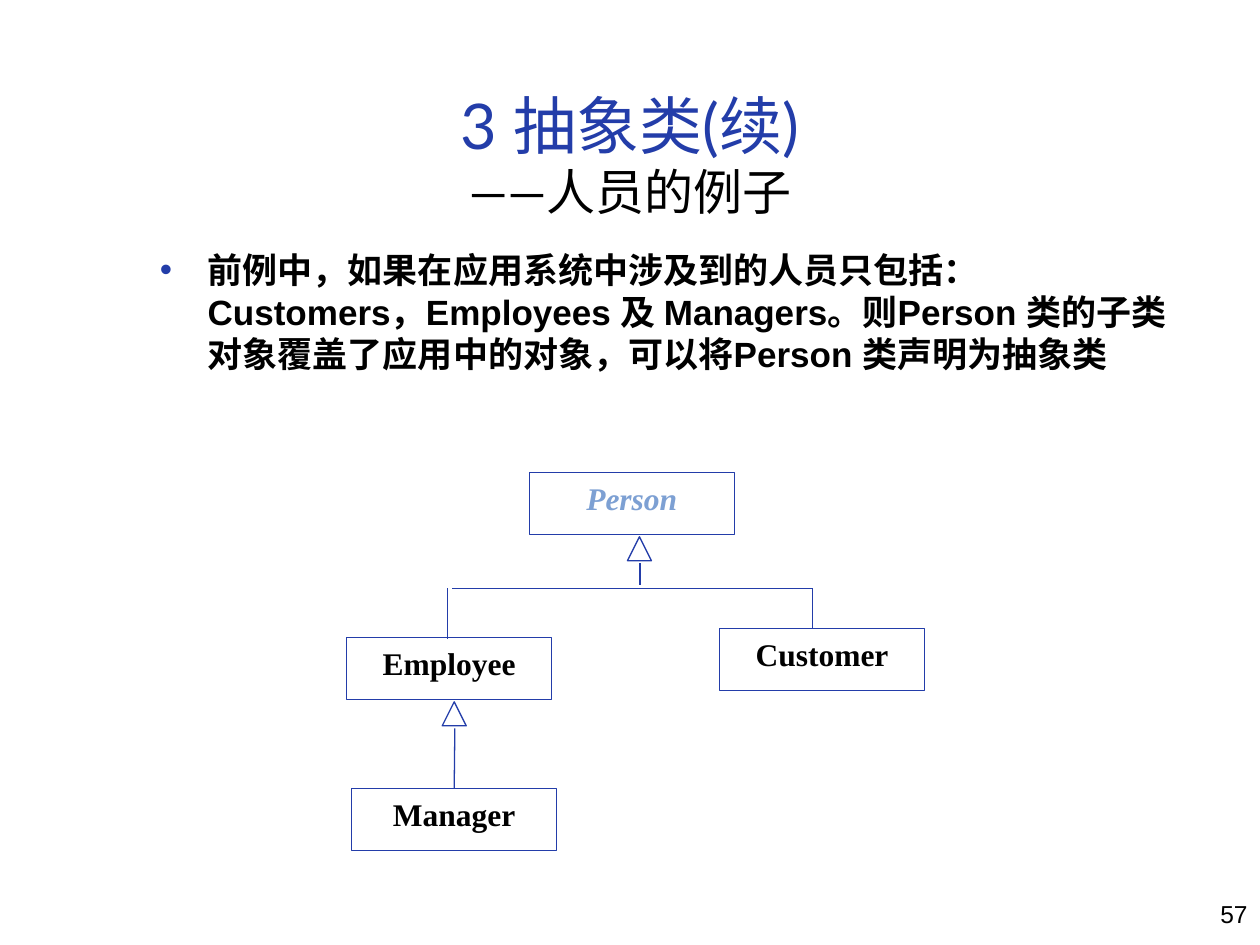
from lxml import etree
from pptx import Presentation
from pptx.dml.color import RGBColor
from pptx.enum.shapes import MSO_CONNECTOR, MSO_SHAPE
from pptx.enum.text import MSO_ANCHOR, PP_ALIGN
from pptx.oxml.ns import qn
from pptx.util import Inches, Pt

LINE = MSO_CONNECTOR.STRAIGHT
RECT = MSO_SHAPE.RECTANGLE
TRI = MSO_SHAPE.ISOSCELES_TRIANGLE
TOP, MID, BASE = MSO_ANCHOR.TOP, MSO_ANCHOR.MIDDLE, MSO_ANCHOR.BOTTOM
LEFT, MIDDLE, RIGHT = PP_ALIGN.LEFT, PP_ALIGN.CENTER, PP_ALIGN.RIGHT
BLUE = RGBColor(0x23, 0x3D, 0xA9)
PALE = RGBColor(0x7D, 0xA0, 0xD3)
BLACK = RGBColor(0, 0, 0)

deck = Presentation()
deck.slide_width, deck.slide_height = Inches(10), Inches(7.5)
slide = deck.slides.add_slide(deck.slide_layouts[6])
shapes = slide.shapes


def add_run(para, text, face, size, color, bold=False, slant=False):
    run = para.add_run()
    run.text = text
    font = run.font
    font.name, font.size = face, Pt(size)
    font.bold, font.italic = bold, slant
    font.color.rgb = color


def add_text(left, top, width, height, anchor, align, wrap=True):
    box = shapes.add_textbox(Inches(left), Inches(top), Inches(width), Inches(height))
    frame = box.text_frame
    frame.word_wrap = wrap
    frame.vertical_anchor = anchor
    para = frame.paragraphs[0]
    para.alignment = align
    return para


page = add_text(7.92, 7, 2.08, 0.5, MID, RIGHT, False)
add_run(page, "57", "Arial", 14, BLACK)

body = add_text(1.17, 1.92, 8.33, 4.5, TOP, LEFT)
props = body._p.get_or_add_pPr()
props.set("marL", str(Inches(0.38)))
props.set("indent", str(Inches(-0.38)))
tint = etree.SubElement(props, qn("a:buClr"))
etree.SubElement(tint, qn("a:srgbClr")).set("val", str(BLUE))
etree.SubElement(props, qn("a:buFont")).set("typeface", "Arial")
etree.SubElement(props, qn("a:buChar")).set("char", "•")
add_run(
    body,
    "前例中，如果在应用系统中涉及到的人员只包括：Customers，Employees 及 Managers。"
    "则Person 类的子类对象覆盖了应用中的对象，可以将Person 类声明为抽象类",
    "Arial", 20, BLACK, True,
)

title = add_text(0.5, 0.63, 9, 1.17, BASE, MIDDLE)
add_run(title, "3 抽象类(续)", "Lato", 36, BLUE)
title.add_line_break()
add_run(title, "——人员的例子", "Lato", 28, BLACK)

nodes = {}
for name, left, top, color, slant in [
    ("Person", 4.2, 3.75, PALE, True),
    ("Employee", 2.75, 5.06, BLACK, False),
    ("Manager", 2.79, 6.26, BLACK, False),
    ("Customer", 5.71, 4.99, BLACK, False),
]:
    node = shapes.add_shape(RECT, Inches(left), Inches(top), Inches(1.63), Inches(0.49))
    node.text_frame.vertical_anchor = TOP
    para = node.text_frame.paragraphs[0]
    para.alignment = MIDDLE
    add_run(para, name, "Times New Roman", 18, color, True, slant)
    nodes[name] = node

heads = [
    shapes.add_shape(TRI, Inches(left), Inches(top), Inches(0.19), Inches(0.19))
    for left, top in [(4.98, 4.26), (3.51, 5.57)]
]
for shape in [*nodes.values(), *heads]:
    shape.shadow.inherit = False
    shape.fill.background()
    shape.line.color.rgb = BLUE
    shape.line.width = Pt(0.75)

for x1, y1, x2, y2, goal in [
    (3.61, 5.78, 3.61, 6.26, "Manager"),
    (5.08, 4.47, 5.08, 4.64, None),
    (3.59, 4.67, 6.45, 4.67, None),
    (3.55, 4.67, 3.55, 5.07, None),
    (6.45, 4.67, 6.45, 4.99, None),
]:
    link = shapes.add_connector(LINE, Inches(x1), Inches(y1), Inches(x2), Inches(y2))
    link.line.color.rgb = BLUE
    link.line.width = Pt(0.75)
    etree.SubElement(link._element.spPr, qn("a:effectLst"))
    if goal:
        link.end_connect(nodes[goal], 0)

deck.save("out.pptx")
